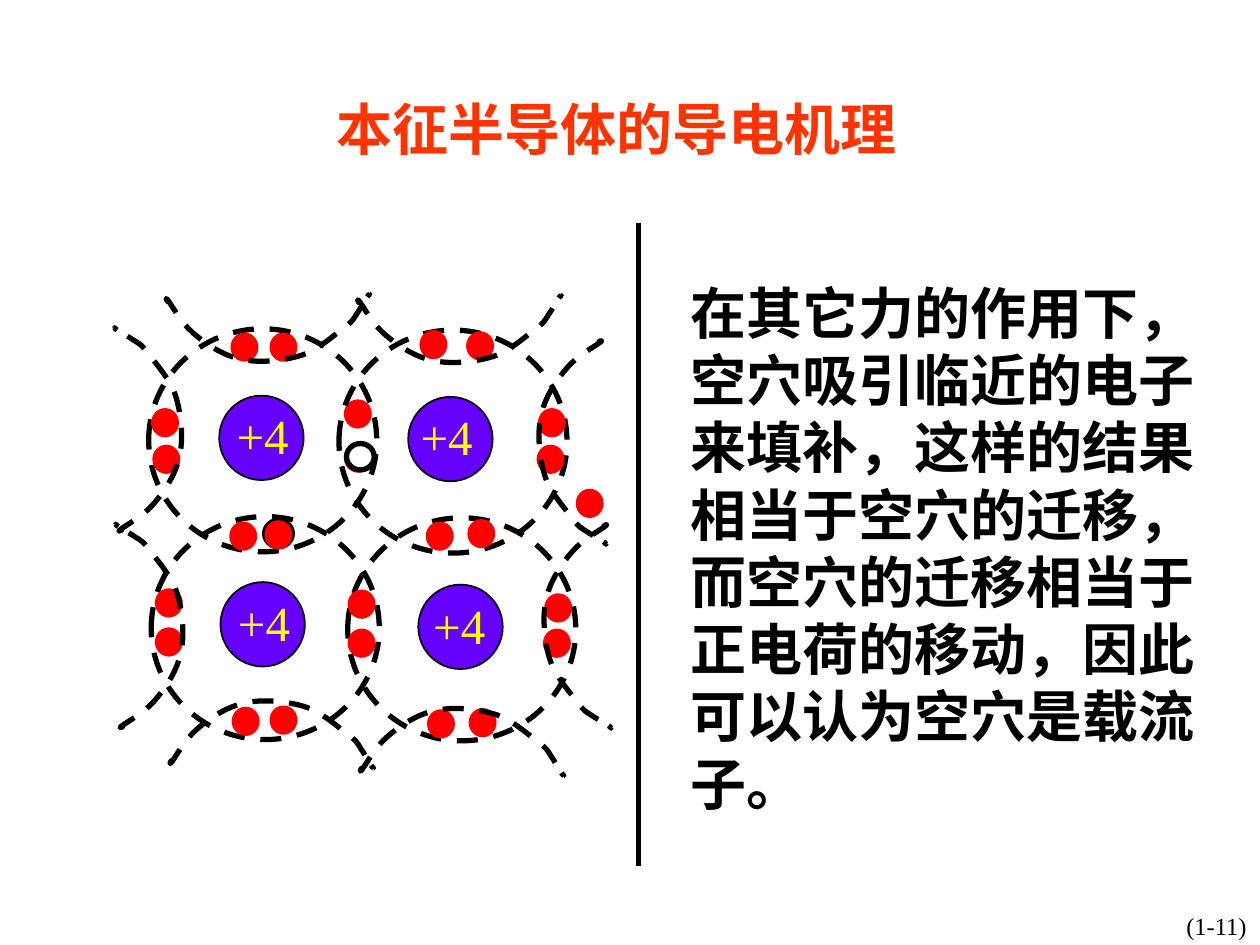
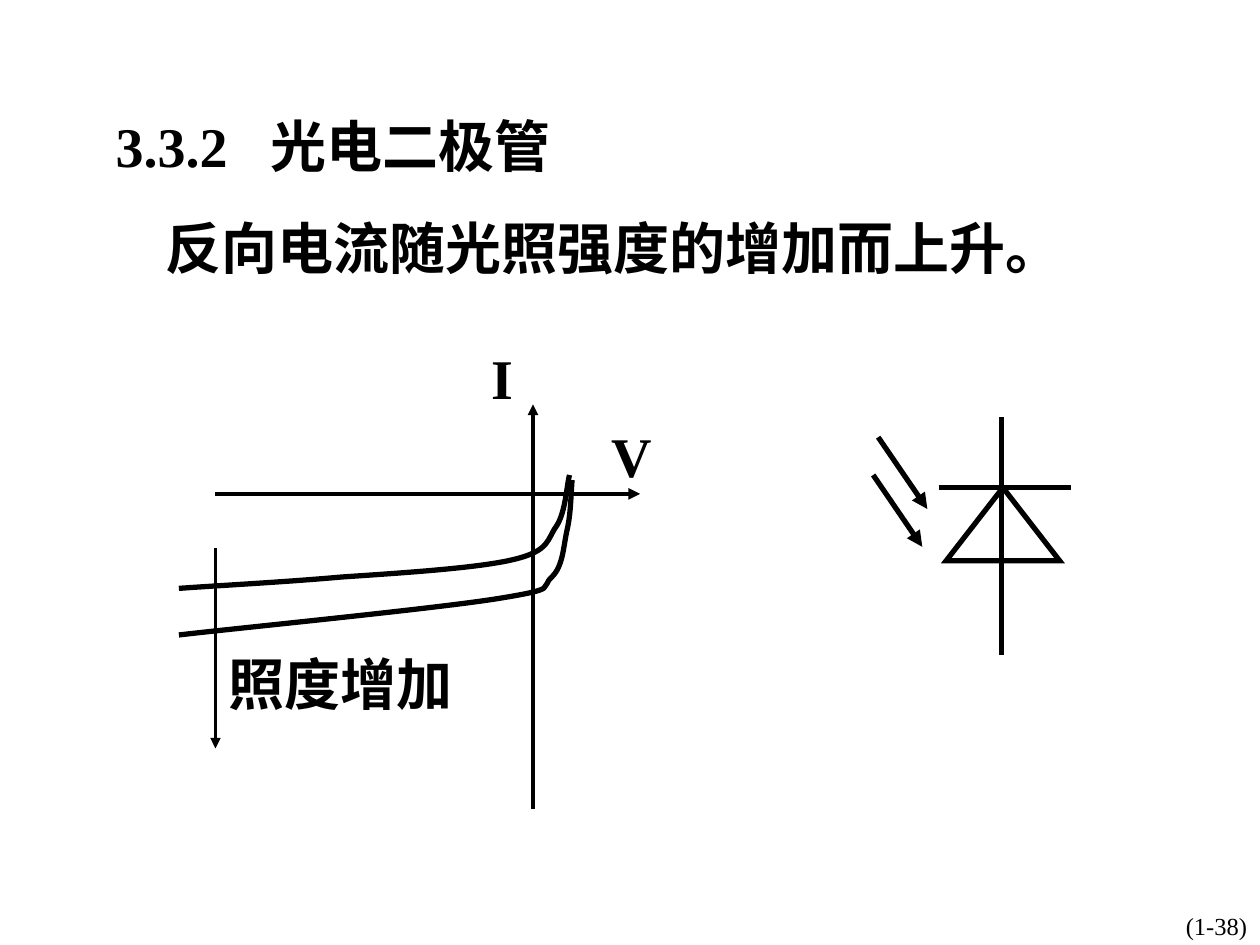
from lxml.etree import SubElement
from pptx import Presentation
from pptx.dml.color import RGBColor
from pptx.enum.dml import MSO_LINE
from pptx.enum.shapes import MSO_CONNECTOR, MSO_SHAPE
from pptx.enum.text import MSO_ANCHOR, PP_ALIGN
from pptx.oxml.ns import qn
from pptx.util import Pt

PX = 9144
FONT = "Times New Roman"
BLACK, WHITE, RED = "000000", "FFFFFF", "FF0000"
TITLE_RED, VIOLET, YELLOW = "FF3300", "6600FF", "FFFF00"


def paint(target, color):
    if hasattr(target, "solid"):
        target.solid()
        target = target.fore_color
    target.rgb = RGBColor.from_string(color)


def add(s, kind, box, color=BLACK, fill=None, width=3, text="", size=32, bold=True,
        align=PP_ALIGN.CENTER, anchor=MSO_ANCHOR.MIDDLE, wrap=True, dash=False, arrow=False):
    if kind == "text":
        sp = s.shapes.add_textbox(*[v * PX for v in box])
        tf = sp.text_frame
        tf.word_wrap = wrap
        tf.vertical_anchor = anchor
        p = tf.paragraphs[0]
        p.text = text
        p.alignment = align
        for r in p.runs:
            r.font.name = FONT
            r.font.size = Pt(size)
            r.font.bold = bold
            paint(r.font.color, color)
        return sp
    if kind == "line":
        sp = s.shapes.add_connector(MSO_CONNECTOR.STRAIGHT, *[v * PX for v in box])
    elif kind == "curve":
        points = [(x * PX, y * PX) for x, y in box]
        fb = s.shapes.build_freeform(*points[0])
        fb.add_line_segments(points[1:], close=False)
        sp = fb.convert_to_shape()
        outline = next(sp._element.iter(qn("a:path")))
        steps = outline.findall(qn("a:lnTo"))
        for i in range(0, len(steps), 3):
            bezier = SubElement(outline, qn("a:cubicBezTo"))
            for step in steps[i:i + 3]:
                bezier.append(step[0])
                outline.remove(step)
    else:
        sp = s.shapes.add_shape(kind, *[v * PX for v in box])
    paint(sp.line.fill, color)
    sp.line.width = Pt(width)
    if dash:
        sp.line.dash_style = MSO_LINE.DASH
    if kind == "line":
        if arrow:
            SubElement(sp.line._get_or_add_ln(), qn("a:tailEnd"), type="triangle")
        SubElement(sp._element.spPr, qn("a:effectLst"))
    else:
        if kind == MSO_SHAPE.ISOSCELES_TRIANGLE:
            SubElement(sp.line._get_or_add_ln(), qn("a:miter"), lim="800000")
        sp.shadow.inherit = False
        if fill:
            paint(sp.fill, fill)
        else:
            sp.fill.background()
    return sp


prs = Presentation()
prs.slide_width, prs.slide_height = 1000 * PX, 750 * PX
slides = []
for number in ("(1-11)", "(1-38)"):
    s = prs.slides.add_slide(prs.slide_layouts[6])
    paint(s.background.fill, WHITE)
    add(s, "text", (869, 718, 193, 33), text=number, size=14, bold=False)
    slides.append(s)

s = slides[0]
add(s, "text", (257, 70, 465, 64), TITLE_RED, text="本征半导体的导电机理", wrap=False)

add(s, MSO_SHAPE.OVAL, (275, 319, 18, 19), RED, fill=RED)
nuclei = [(174, 314), (324, 315), (175, 462), (332, 464)]
shells = [(118, 261), (269, 262), (120, 410), (276, 411)]
for nucleus, shell in zip(nuclei, shells):
    add(s, MSO_SHAPE.OVAL, (*nucleus, 67, 67), fill=VIOLET, width=1)
    add(s, MSO_SHAPE.OVAL, (*shell, 181, 177), dash=True)

electrons = [
    (275, 354), (373, 414), (340, 416), (278, 470), (278, 501), (184, 416),
    (125, 469), (125, 500), (185, 266), (216, 266), (122, 326), (123, 355),
    (374, 564), (341, 565), (428, 355), (429, 326), (216, 562), (186, 563),
    (372, 265), (335, 264), (433, 501), (434, 473),
]
for electron in electrons:
    add(s, MSO_SHAPE.OVAL, (*electron, 18, 19), RED, fill=RED)

bond = [
    (21, -79), (21, -80), (26, -82), (22, -79), (18, -76), (5, -69), (-3, -60),
    (-11, -51), (-21, -37), (-24, -23), (-28, -9), (-26, 11), (-22, 25),
    (-18, 39), (-6, 52), (0, 60), (5, 67), (7, 68), (12, 71),
    (16, 74), (23, 77), (25, 79), (28, 80), (27, 81), (27, 81),
    (27, 81), (26, 79), (25, 79),
]
right, top, bottom, left = (1, 1, 0), (1, 1, 270), (1, -1, 90), (-1, -1, 0)
for (fx, fy, angle), cx, cy in [
        (right, 454, 351), (right, 458, 497), (top, 212, 261), (top, 364, 262),
        (bottom, 215, 582), (bottom, 366, 588), (left, 118, 341), (left, 119, 497)]:
    sp = add(s, "curve", [(cx + fx * x, cy + fy * y) for x, y in bond], dash=True)
    sp.rotation = angle

for x, y in [(178, 317), (324, 318), (179, 465), (334, 468)]:
    add(s, "text", (x, y, 77, 57), YELLOW, text="+4", size=28, bold=False,
        align=PP_ALIGN.LEFT, anchor=MSO_ANCHOR.TOP)

add(s, MSO_SHAPE.OVAL, (459, 390, 18, 19), RED, fill=RED)
add(s, MSO_SHAPE.OVAL, (210, 413, 22, 21), fill=WHITE)
add(s, MSO_SHAPE.OVAL, (212, 415, 18, 19), RED, fill=RED)
add(s, MSO_SHAPE.OVAL, (275, 352, 22, 21), fill=WHITE)
add(s, "line", (507, 177, 507, 687))
add(s, "text", (538, 216, 423, 437), align=PP_ALIGN.LEFT,
    text="在其它力的作用下，空穴吸引临近的电子来填补，这样的结果相当于空穴的迁移，"
         "而空穴的迁移相当于正电荷的移动，因此可以认为空穴是载流子。")

s = slides[1]
heading = add(s, "text", (82, 83, 422, 64), text="3.3.2\t光电二极管", align=PP_ALIGN.LEFT)
pPr = heading.text_frame.paragraphs[0]._p.get_or_add_pPr()
SubElement(SubElement(pPr, qn("a:tabLst")), qn("a:tab"), pos=str(123 * PX), algn="l")
add(s, "text", (87, 164, 800, 64), text="反向电流随光照强度的增加而上升。")

add(s, "line", (171, 392, 508, 392), width=2.25, arrow=True)
add(s, "line", (423, 642, 423, 321), width=2, arrow=True)
for label, box in [("I", (380, 267, 37, 64)), ("V", (475, 329, 52, 64))]:
    add(s, "text", box, text=label, wrap=False)
add(s, "curve", [(452, 377), (450, 384), (449, 406), (442, 417), (434, 428), (437, 437), (408, 444),
                 (380, 451), (315, 455), (271, 458), (226, 462), (169, 465), (142, 467)])
add(s, "curve", [(454, 381), (453, 395), (453, 408), (450, 421), (447, 434), (447, 449), (438, 458),
                 (428, 467), (445, 467), (396, 475), (347, 483), (184, 499), (142, 504)])
add(s, "line", (171, 435, 171, 594), width=2, arrow=True)
add(s, "text", (171, 510, 198, 64), text="照度增加", wrap=False)

add(s, "line", (745, 387, 850, 387))
add(s, MSO_SHAPE.ISOSCELES_TRIANGLE, (751, 387, 90, 58))
add(s, "line", (795, 331, 795, 520))
for x, y in [(697, 347), (693, 377)]:
    add(s, "line", (x, y, x + 39, y + 57), arrow=True)

prs.save("out.pptx")
